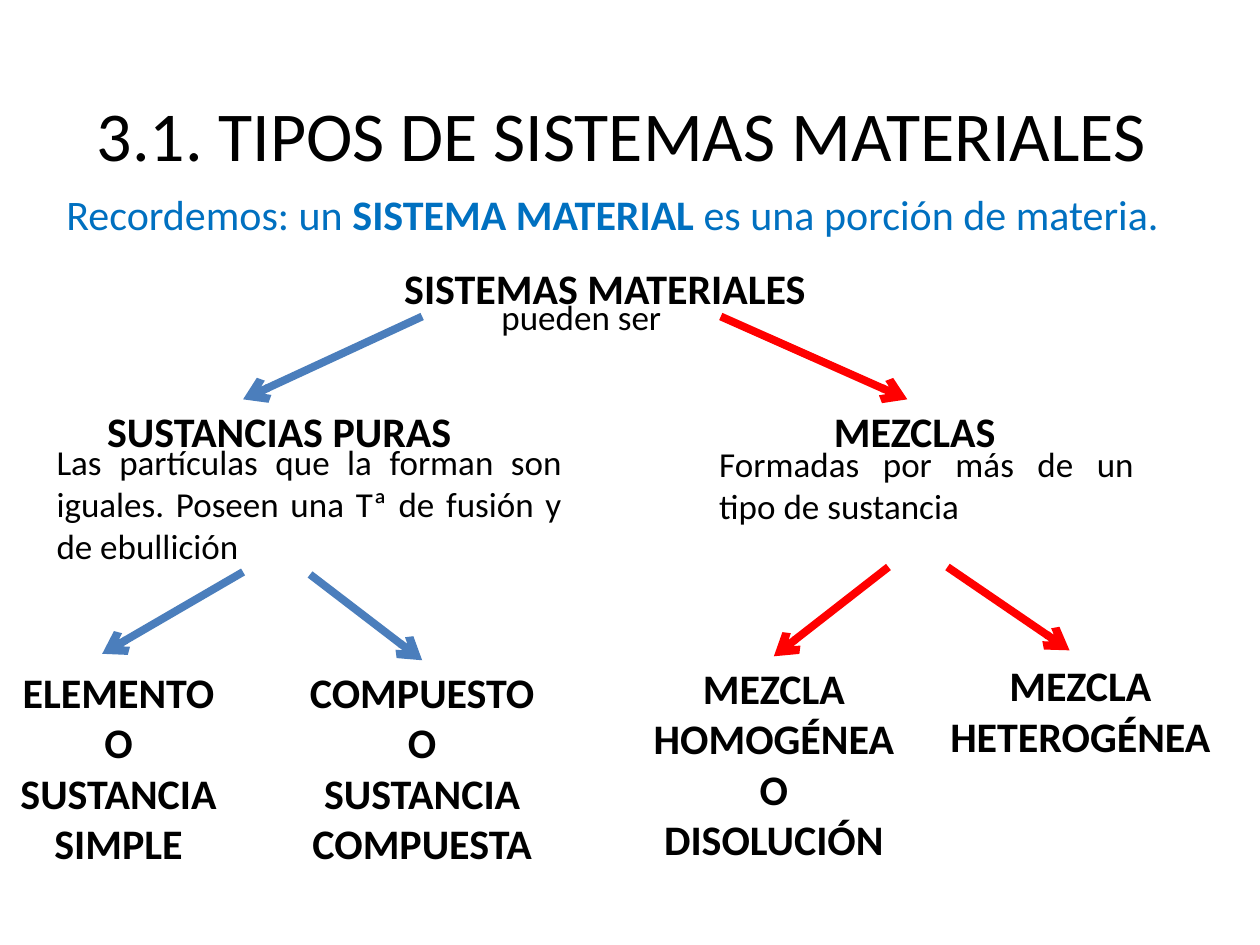
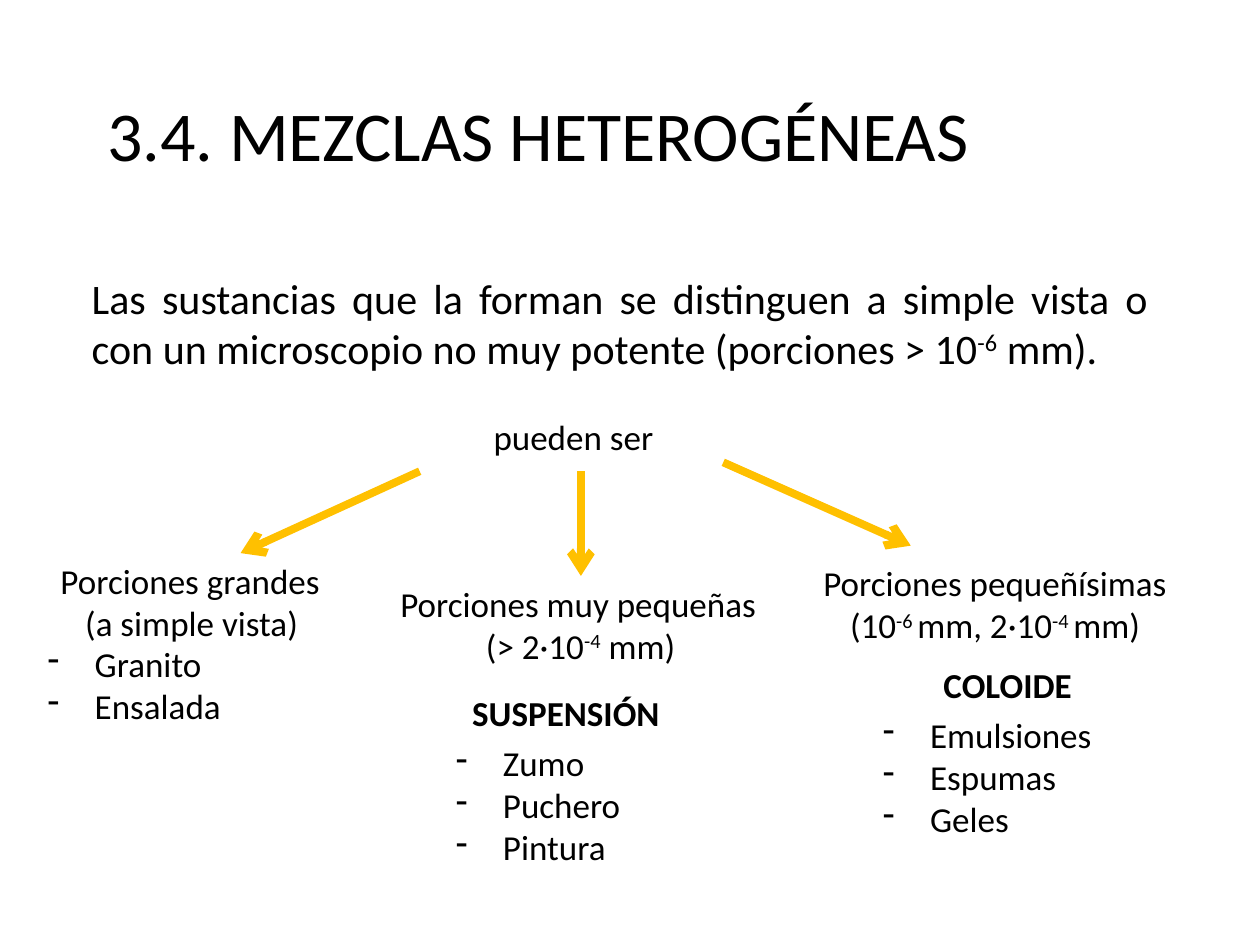
from lxml import etree
from pptx import Presentation
from pptx import util as u
from pptx.dml.color import RGBColor
from pptx.enum import shapes, text
from pptx.oxml.ns import qn

COLORS = {"text": "000000", "accent": "0070C0", "pure": "4B7EBC",
          "mix": "FF0000", "hetero": "FFC000"}
FONT = "Calibri"
ALIGN = {"l": text.PP_ALIGN.LEFT, "c": text.PP_ALIGN.CENTER, "j": text.PP_ALIGN.JUSTIFY}
LINE_CM = {20: 0.85, 24: 1.02, 40: 1.7}
HANG = 0.95
LEAF_W = 6.1


def rgb(name):
    return RGBColor.from_string(COLORS[name])


def add_bullet(p):
    pPr = p._p.get_or_add_pPr()
    pPr.set("marL", str(u.Cm(HANG)))
    pPr.set("indent", str(-u.Cm(HANG)))
    etree.SubElement(pPr, qn("a:buFontTx"))
    etree.SubElement(pPr, qn("a:buChar")).set("char", "-")


def add_text(s, x, y, w, content, size=20, bold=False, color="text",
             align="j", bullet=False, mark="super"):
    lines = content.split("\n")
    h = LINE_CM[size] * len(lines) + 0.25
    tf = s.shapes.add_textbox(u.Cm(x), u.Cm(y), u.Cm(w), u.Cm(h)).text_frame
    tf.word_wrap = True
    aligns = align if len(align) == len(lines) else align * len(lines)
    for i, (line, a) in enumerate(zip(lines, aligns)):
        p = tf.paragraphs[0] if i == 0 else tf.add_paragraph()
        p.alignment = ALIGN[a]
        if bullet:
            add_bullet(p)
        for j, part in enumerate(line.split("|")):
            marked = j % 2 == 1
            r = p.add_run()
            r.text = part
            r.font.name = FONT
            r.font.size = u.Pt(size)
            r.font.bold = bold or (marked and mark == "bold")
            r.font.color.rgb = rgb(color)
            if marked and mark == "super":
                r._r.get_or_add_rPr().set("baseline", "30000")


def add_arrow(s, x1, y1, x2, y2, color):
    c = s.shapes.add_connector(shapes.MSO_CONNECTOR.STRAIGHT,
                               u.Cm(x1), u.Cm(y1), u.Cm(x2), u.Cm(y2))
    c.line.color.rgb = rgb(color)
    c.line.width = u.Pt(4.5)
    etree.SubElement(c.line._get_or_add_ln(), qn("a:tailEnd")).set("type", "arrow")
    etree.SubElement(c._element.spPr, qn("a:effectLst"))


def add_title(s, x, w, title):
    add_text(s, x, 1.73, w, title, size=40, align="l")


def add_branch(s, x, y, heading, description, leaves, arrows, color):
    dx, label = heading
    add_text(s, x + dx, y, 8.5, label, size=24, bold=True)
    dx, dy, w, body = description
    add_text(s, x + dx, y + dy, w, body)
    for center, dy, label in leaves:
        w = min(LEAF_W, 2 * center)
        add_text(s, x + center - w / 2, y + dy, w, label, size=24, bold=True, align="c")
    for x1, y1, x2, y2 in arrows:
        add_arrow(s, x + x1, y + y1, x + x2, y + y2, color)


def add_column(s, x, y, w, heading, align, examples, name=None):
    add_text(s, x, y, w, heading, align=align)
    if name:
        dx, dy, label, name_align = name
        add_text(s, x + dx, y + dy, 7.77, label, bold=True, align=name_align)
    dx, dy, items = examples
    add_text(s, x + dx, y + dy, 5.54, items, bullet=True)


def build_systems(s):
    add_title(s, 1.7, 22.2, "3.1. TIPOS DE SISTEMAS MATERIALES")
    add_text(s, 1.09, 3.68, 23, "Recordemos: un |SISTEMA MATERIAL| es una porción de materia.",
             size=24, color="accent", mark="bold")
    add_text(s, 9.86, 5.84, 5.31, "pueden ser")
    add_text(s, 7.9, 5.16, 9.2, "SISTEMAS MATERIALES", size=24, bold=True)
    add_arrow(s, 8.51, 6.38, 4.9, 8.05, "pure")
    add_arrow(s, 14.53, 6.38, 18.29, 8.05, "mix")
    add_branch(s, 0, 8.05, (1.91, "SUSTANCIAS PURAS"),
               (0.89, 0.71, 10.69, "Las partículas que la forman son iguales. "
                "Poseen una Tª de fusión y de ebullición"),
               [(2.39, 5.26, "ELEMENTO\nO\nSUSTANCIA\nSIMPLE"),
                (8.51, 5.26, "COMPUESTO\nO\nSUSTANCIA\nCOMPUESTA")],
               [(4.9, 3.48, 2.06, 5.13), (6.25, 3.53, 8.51, 5.26)], "pure")
    add_branch(s, 12.7, 8.05, (3.86, "MEZCLAS"),
               (1.55, 0.74, 8.86, "Formadas por más de un tipo de sustancia"),
               [(2.9, 5.18, "MEZCLA\nHOMOGÉNEA\nO\nDISOLUCIÓN"),
                (9.08, 5.13, "MEZCLA\nHETEROGÉNEA")],
               [(5.21, 3.38, 2.9, 5.18), (6.4, 3.38, 8.86, 5.06)], "mix")


def build_mixtures(s):
    add_title(s, 1.91, 21.2, "3.4. MEZCLAS HETEROGÉNEAS")
    add_text(s, 1.6, 5.36, 21.8, "Las sustancias que la forman se distinguen a simple vista o con "
             "un microscopio no muy potente (porciones > 10|-6| mm).", size=24)
    add_text(s, 9.7, 8.26, 4.4, "pueden ser")
    for ends in [(8.46, 9.5, 4.85, 11.15), (11.71, 9.5, 11.71, 11.61), (14.58, 9.32, 18.36, 11)]:
        add_arrow(s, *ends, "hetero")
    add_column(s, 0.97, 11.15, 5.79, "Porciones grandes\n(a simple vista)", "jc",
               (-0.26, 1.68, "Granito\nEnsalada"))
    add_column(s, 7.82, 11.61, 7.77, "Porciones muy pequeñas\n(> 2·10|-4| mm)", "jc",
               (1.12, 3.22, "Zumo\nPuchero\nPintura"), (1.45, 2.21, "SUSPENSIÓN", "j"))
    add_column(s, 15.21, 11.2, 9.7, "Porciones pequeñísimas\n(10|-6 |mm, 2·10|-4 |mm)", "c",
               (2.34, 3.05, "Emulsiones\nEspumas\nGeles"), (1.22, 2.06, "COLOIDE", "c"))


def main():
    prs = Presentation()
    prs.slide_width, prs.slide_height = u.Cm(25.4), u.Cm(19.05)
    for build in (build_systems, build_mixtures):
        build(prs.slides.add_slide(prs.slide_layouts[6]))
    prs.save("out.pptx")


if __name__ == "__main__":
    main()
